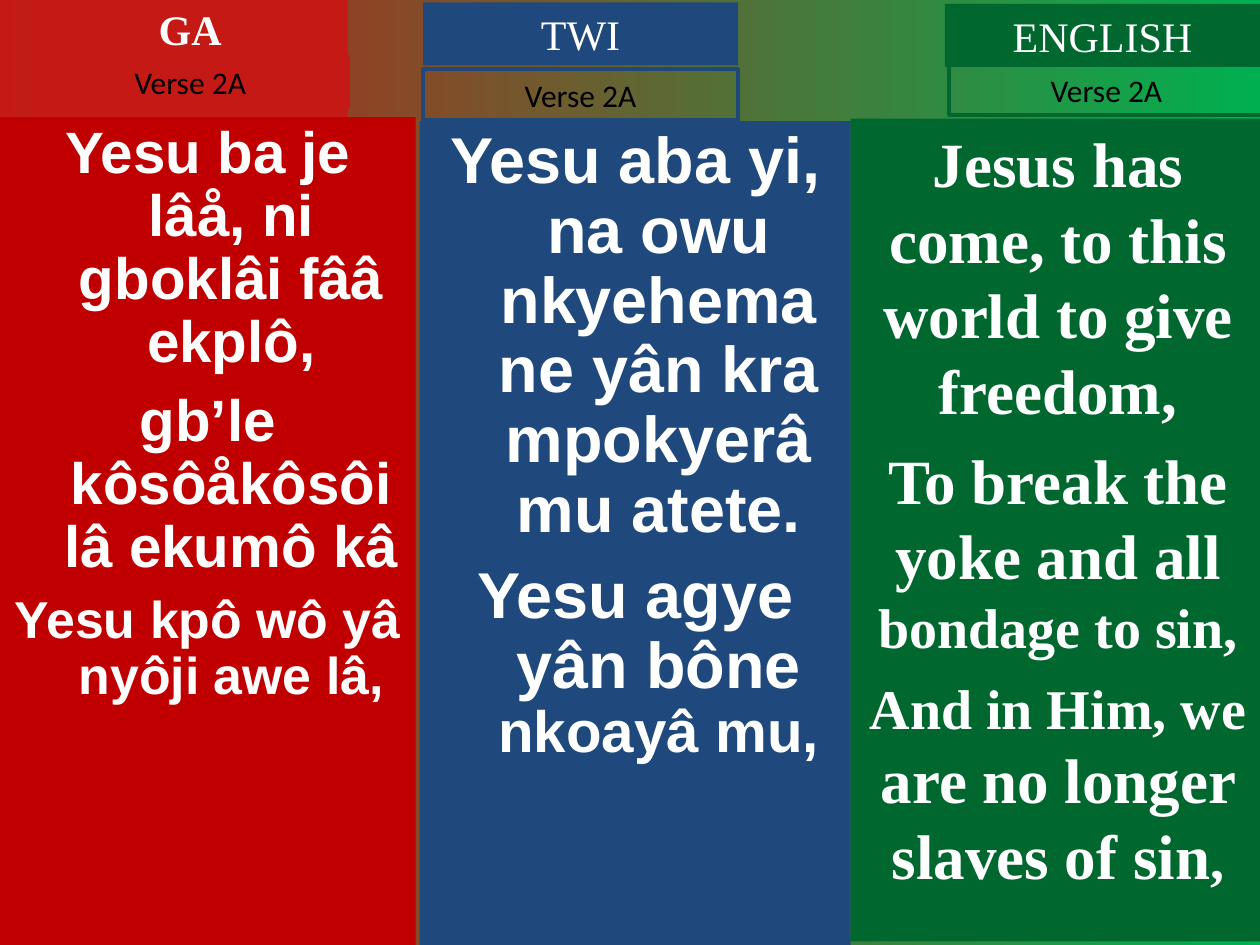
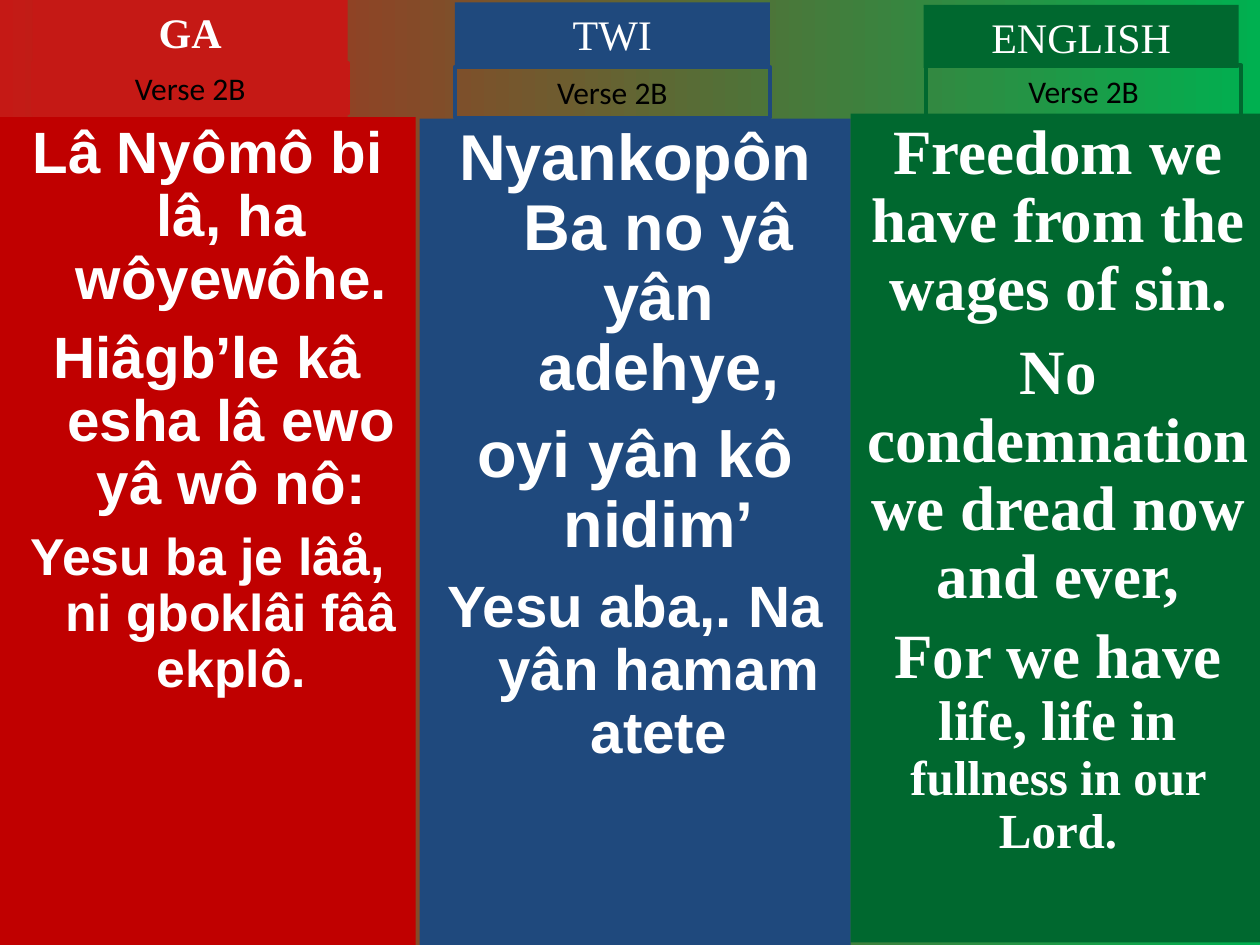
from pptx import Presentation
from pptx.dml.color import RGBColor
from pptx.enum.text import MSO_ANCHOR, MSO_AUTO_SIZE, PP_ALIGN
from pptx.oxml.ns import qn
from pptx.util import Cm, Pt
from lxml import etree

CENTER, TOP = PP_ALIGN.CENTER, MSO_ANCHOR.TOP
FIXED, GROW = MSO_AUTO_SIZE.NONE, MSO_AUTO_SIZE.SHAPE_TO_FIT_TEXT

CRIMSON = RGBColor(0xC0, 0x00, 0x00)
RED = RGBColor(0xC5, 0x19, 0x15)
BLUE = RGBColor(0x1F, 0x49, 0x7D)
GREEN = RGBColor(0x00, 0x68, 0x2F)
BRIGHT = RGBColor(0x00, 0xB0, 0x50)
WHITE = RGBColor(0xFF, 0xFF, 0xFF)
BLACK = RGBColor(0x00, 0x00, 0x00)

SANS, SERIF, PLAIN = "Arial", "Times New Roman", "Calibri"
HEAD_W, HEAD_H, TAG_H = 6.35, 1.27, 1.02
HANG = 0.95

# Columns: heading, heading bold, heading colour, panel colour, left, width, font, hanging indent
GA = ("GA", True, RED, CRIMSON, 0, 8.38, SANS, HANG)
TWI = ("TWI", False, BLUE, BLUE, 8.46, 8.69, SANS, HANG)
ENGLISH = ("ENGLISH", False, GREEN, GREEN, 17.15, 8.36, SERIF, 0)

# Verses: column, heading place, tag place, panel top and height, line spacing,
# then paragraphs as (space before, (text, size), ...)
VERSES = {
    "Verse 2A": [
        (GA, (0.66, -0.05), (0.66, 1.14), (2.36, 16.69), 0.9, [
            (0, ("Yesu ba je lâå, ni gboklâi fââ ekplô,", 33.3)),
            (9, ("gb’le kôsôåkôsôi lâ ekumô kâ", 33.3)),
            (8, ("Yesu kpô wô yâ nyôji awe lâ,", 29.6))]),
        (TWI, (8.53, 0.05), (8.53, 1.4), (2.44, 16.61), 0.9, [
            (0, ("Yesu aba yi, na owu nkyehema ne yân kra mpokyerâ mu atete.", 37)),
            (9, ("Yesu agye yân bône ", 37), ("nkoayâ mu,", 33.3))]),
        (ENGLISH, (19.05, 0.08), (19.13, 1.3), (2.39, 16.59), 1.0, [
            (0, ("Jesus has come, to this world to give freedom,", 36)),
            (8, ("To break the yoke and all ", 36), ("bondage to sin,", 32)),
            (8, ("And in Him, we ", 32), ("are no longer slaves of sin", 36), (",", 32))]),
    ],
    "Verse 2B": [
        (GA, (0.66, 0), (0.66, 1.27), (2.36, 16.69), 0.9, [
            (0, ("Lâ Nyômô bi lâ, ha wôyewôhe.", 33.3)),
            (9, ("Hiâgb’le kâ esha lâ ewo yâ wô nô:", 33.3)),
            (8, ("Yesu ba je lâå, ni gboklâi fââ ekplô.", 29.6))]),
        (TWI, (9.17, 0.05), (9.17, 1.35), (2.39, 16.66), 0.9, [
            (0, ("Nyankopôn Ba no yâ yân adehye,", 37)),
            (10, ("oyi yân kô nidim’", 37)),
            (9, ("Yesu aba,. Na yân hamam atete", 33.3))]),
        (ENGLISH, (18.62, 0.1), (18.67, 1.32), (2.29, 16.71), 0.9, [
            (0, ("Freedom we have from the wages of sin.", 36)),
            (9, ("No condemnation we dread now and ever,", 36)),
            (7, ("For we have ", 36), ("life, life in ", 32), ("fullness in our Lord.", 28))]),
    ],
}


def place(shape, left, top, width, height):
    shape.left, shape.top = Cm(left), Cm(top)
    shape.width, shape.height = Cm(width), Cm(height)


def add_box(slide):
    return slide.shapes.add_textbox(0, 0, 0, 0)


def set_frame(shape, fit):
    frame = shape.text_frame
    frame.word_wrap = True
    frame.auto_size = fit
    frame.vertical_anchor = TOP
    return frame


def set_font(font, name, size, color, bold=False):
    font.name, font.size, font.bold = name, Pt(size), bold
    font.color.rgb = color


def set_label(shape, text, name, size, color, bold=False):
    para = set_frame(shape, GROW).paragraphs[0]
    para.text = text
    para.alignment = CENTER
    set_font(para.runs[0].font, name, size, color, bold)


def set_hang(para, indent):
    props = para._p.get_or_add_pPr()
    props.set("marL", str(Cm(indent)))
    props.set("indent", str(-Cm(indent)))
    etree.SubElement(props, qn("a:buNone"))


def fill_panel(shape, color, name, indent, spacing, lines):
    """Fill a language column with its sung lines."""
    shape.fill.solid()
    shape.fill.fore_color.rgb = color
    frame = set_frame(shape, FIXED)
    for i, (before, *parts) in enumerate(lines):
        para = frame.add_paragraph() if i else frame.paragraphs[0]
        set_hang(para, indent)
        para.alignment = CENTER
        para.line_spacing = spacing
        para.space_before = Pt(before)
        for text, size in parts:
            run = para.add_run()
            run.text = text
            set_font(run.font, name, size, WHITE, True)


def add_column(slide, panel, head, verse, data):
    column, head_at, tag_at, (top, height), spacing, lines = data
    title, bold, accent, color, left, width, name, indent = column
    # Lyrics panel
    place(panel, left, top, width, height)
    fill_panel(panel, color, name, indent, spacing, lines)
    # Language heading
    place(head, *head_at, HEAD_W, HEAD_H)
    head.fill.solid()
    head.fill.fore_color.rgb = accent
    set_label(head, title, SERIF, 24, WHITE, bold)
    # Outlined verse tag
    tag = add_box(slide)
    place(tag, *tag_at, HEAD_W, TAG_H)
    tag.line.color.rgb = accent
    tag.line.width = Pt(2.25)
    set_label(tag, verse, PLAIN, 18, BLACK)


def set_back(slide):
    fill = slide.background.fill
    fill.gradient()
    fill.gradient_angle = 0
    for stop, color in zip(fill.gradient_stops, (RED, BRIGHT)):
        stop.color.rgb = color


def add_verse(deck, verse, columns):
    slide = deck.slides.add_slide(deck.slide_layouts[3])
    set_back(slide)
    title, first, second = slide.placeholders
    panels = (first, second, add_box(slide))
    heads = (title, add_box(slide), add_box(slide))
    for panel, head, data in zip(panels, heads, columns):
        add_column(slide, panel, head, verse, data)


def main():
    deck = Presentation()
    deck.slide_width, deck.slide_height = Cm(25.4), Cm(19.05)
    for verse, columns in VERSES.items():
        add_verse(deck, verse, columns)
    deck.save("out.pptx")


if __name__ == "__main__":
    main()
